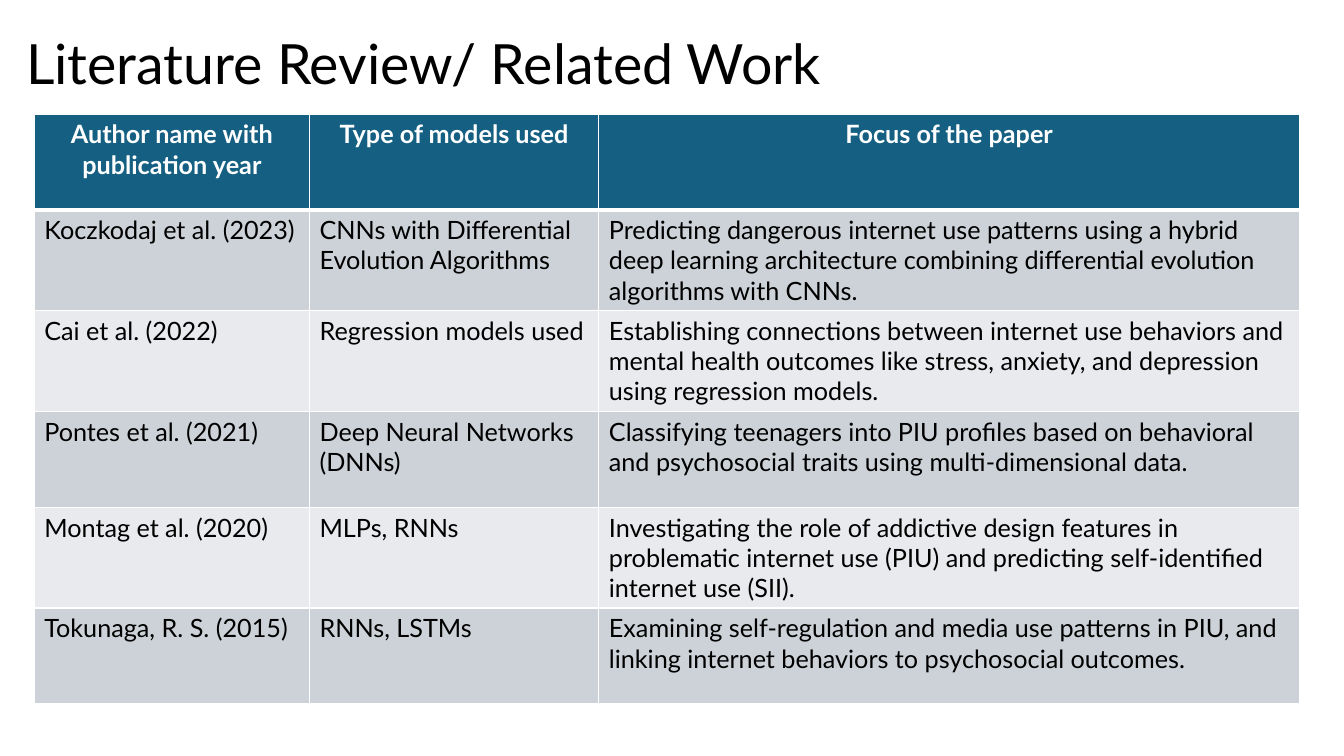
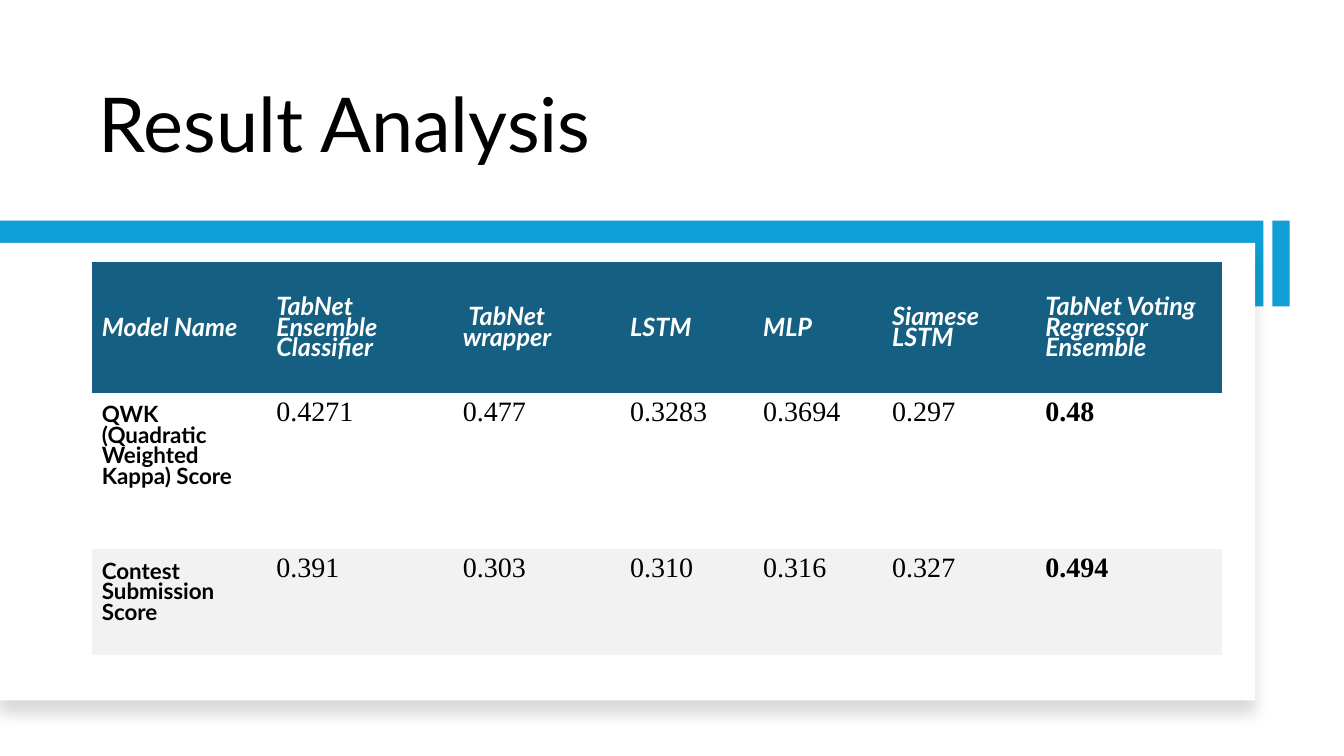
from lxml import etree
from pptx import Presentation
from pptx.dml.color import RGBColor
from pptx.enum.shapes import MSO_SHAPE
from pptx.enum.text import MSO_ANCHOR, PP_ALIGN
from pptx.oxml import parse_xml
from pptx.util import Inches, Pt

RECTANGLE = MSO_SHAPE.RECTANGLE
TOP, MIDDLE, BOTTOM = MSO_ANCHOR.TOP, MSO_ANCHOR.MIDDLE, MSO_ANCHOR.BOTTOM
LEFT, CENTER = PP_ALIGN.LEFT, PP_ALIGN.CENTER
NAMESPACE = "http://schemas.openxmlformats.org/drawingml/2006/main"
PLAIN_TABLE_STYLE = "{2D5ABB26-0587-4C30-8999-92F81FD0307C}"

COLORS = {
    "black": "000000",
    "white": "FFFFFF",
    "header": "156082",
    "accent": "0F9ED5",
    "dark_row": "CCD2D8",
    "light_row": "E8EAED",
    "pale_row": "F2F2F2",
}
BODY_FONT, NUMBER_FONT = "Lato", "Times New Roman"

presentation = Presentation()
presentation.slide_width, presentation.slide_height = Inches(13.33), Inches(7.5)
# The grid has 100 columns and 100 rows.
COLUMN = presentation.slide_width / 100
ROW = presentation.slide_height / 100
BLANK = presentation.slide_layouts[6]


def write_text(frame, text, size=18, font=BODY_FONT, color="black", bold=False,
               italic=False, align=LEFT, spacing=None, indent=0):
    frame.word_wrap = True
    paragraph = frame.paragraphs[0]
    paragraph.alignment = align
    paragraph.line_spacing = spacing
    if indent:
        paragraph._p.get_or_add_pPr().set("indent", str(Pt(indent)))
    run = paragraph.add_run()
    run.text = text
    run.font.size, run.font.name = Pt(size), font
    run.font.bold, run.font.italic = bold, italic
    run.font.color.rgb = RGBColor.from_string(COLORS[color])


def add_plain_table(slide, left, top, widths, heights):
    """Add an unstyled table whose lengths are grid columns and rows."""
    table = slide.shapes.add_table(
        len(heights), len(widths), round(left * COLUMN), round(top * ROW),
        round(sum(widths) * COLUMN), round(sum(heights) * ROW)).table
    table._tbl.tblPr.find(f"{{{NAMESPACE}}}tableStyleId").text = PLAIN_TABLE_STYLE
    for column, width in zip(table.columns, widths):
        column.width = round(width * COLUMN)
    for row, height in zip(table.rows, heights):
        row.height = round(height * ROW)
    return table


# Slides and titles
titles = [
    ("Literature Review/ Related Work", 39.6, MIDDLE, (1.2, 4.27, 91.9, 9.07)),
    ("Result Analysis", 54, BOTTOM, (6.6, 5.6, 75.77, 17.33)),
]
slides = []
for title, size, anchor, (left, top, width, height) in titles:
    slide = presentation.slides.add_slide(BLANK)
    slides.append(slide)
    box = slide.shapes.add_textbox(round(left * COLUMN), round(top * ROW),
                                   round(width * COLUMN), round(height * ROW))
    box.text_frame.vertical_anchor = anchor
    write_text(box.text_frame, title, size=size, spacing=0.9)
review_slide, result_slide = slides

# Literature review
papers = [
    ("Author name with publication year", "Type of models used", "Focus of the paper"),
    ("Koczkodaj et al. (2023)", "CNNs with Differential Evolution Algorithms",
     "Predicting dangerous internet use patterns using a hybrid deep learning "
     "architecture combining differential evolution algorithms with CNNs."),
    ("Cai et al. (2022)", "Regression models used",
     "Establishing connections between internet use behaviors and mental health "
     "outcomes like stress, anxiety, and depression using regression models."),
    ("Pontes et al. (2021)", "Deep Neural Networks (DNNs)",
     "Classifying teenagers into PIU profiles based on behavioral and psychosocial "
     "traits using multi-dimensional data."),
    ("Montag et al. (2020)", "MLPs, RNNs",
     "Investigating the role of addictive design features in problematic internet "
     "use (PIU) and predicting self-identified internet use (SII)."),
    ("Tokunaga, R. S. (2015)", "RNNs, LSTMs",
     "Examining self-regulation and media use patterns in PIU, and linking internet "
     "behaviors to psychosocial outcomes."),
]
table = add_plain_table(review_slide, 2.55, 15.07, [20.48, 21.53, 52.14],
                        [12.67] * len(papers))
for row, paper in enumerate(papers):
    header = row == 0
    fill = "header" if header else ("light_row", "dark_row")[row % 2]
    for column, text in enumerate(paper):
        cell = table.cell(row, column)
        cell.fill.solid()
        cell.fill.fore_color.rgb = RGBColor.from_string(COLORS[fill])
        write_text(cell.text_frame, text, bold=header,
                   color="white" if header else "black",
                   align=CENTER if header else LEFT)
        for position, side in enumerate("LRTB"):
            heavy = (side == "B" and row == 0) or (side == "T" and row == 1)
            border = parse_xml(
                f'<a:ln{side} xmlns:a="{NAMESPACE}" w="{Pt(3 if heavy else 1)}">'
                f'<a:solidFill><a:srgbClr val="{COLORS["white"]}"/></a:solidFill>'
                f'</a:ln{side}>')
            cell._tc.get_or_add_tcPr().insert(position, border)

# Result analysis: accent bands behind a white card
panels = [
    ("accent", 94.67, 29.2, 1.28, 11.33),
    ("accent", 0, 29.2, 94, 11.33),
    ("white", 0, 32.13, 93.4, 60.53),
]
for color, left, top, width, height in panels:
    panel = result_slide.shapes.add_shape(
        RECTANGLE, round(left * COLUMN), round(top * ROW),
        round(width * COLUMN), round(height * ROW))
    panel.shadow.inherit = False
    panel.fill.solid()
    panel.fill.fore_color.rgb = RGBColor.from_string(COLORS[color])
    panel.line.fill.background()
card = panel
effects = card._element.spPr.find(f"{{{NAMESPACE}}}effectLst")
shadow = etree.SubElement(effects, f"{{{NAMESPACE}}}outerShdw", blurRad=str(Pt(11)),
                          dist=str(Pt(10)), dir="5400000", rotWithShape="0")
shadow_color = etree.SubElement(shadow, f"{{{NAMESPACE}}}srgbClr", val=COLORS["black"])
etree.SubElement(shadow_color, f"{{{NAMESPACE}}}alpha", val="15000")

scores = [
    ("Model Name", "TabNet Ensemble Classifier", "TabNet wrapper", "LSTM", "MLP",
     "Siamese LSTM", "TabNet Voting Regressor Ensemble"),
    ("QWK (Quadratic Weighted Kappa) Score", "0.4271", "0.477", "0.3283", "0.3694",
     "0.297", "0.48"),
    ("Contest Submission Score", "0.391", "0.303", "0.310", "0.316", "0.327", "0.494"),
]
row_fills = ["header", None, "pale_row"]
header_format = {"color": "white", "bold": True, "italic": True}
label_format = {"size": 16, "bold": True}
number_format = {"size": 20, "font": NUMBER_FONT}
table = add_plain_table(result_slide, 6.83, 34.67,
                        [12.98, 13.88, 12.45, 9.9, 9.6, 11.4, 13.88],
                        [17.33, 20.67, 14])
best_column = len(scores[0]) - 1
for row, (texts, fill) in enumerate(zip(scores, row_fills)):
    for column, text in enumerate(texts):
        cell = table.cell(row, column)
        cell.margin_top, cell.margin_bottom = Inches(0.14), Inches(0.07)
        cell.vertical_anchor = MIDDLE if row == 0 else TOP
        if fill:
            cell.fill.solid()
            cell.fill.fore_color.rgb = RGBColor.from_string(COLORS[fill])
        if row == 0:
            text_format = {**header_format, "indent": 4 if column == 2 else 0}
        elif column == 0:
            text_format = label_format
        else:
            text_format = {**number_format, "bold": column == best_column}
        write_text(cell.text_frame, text, spacing=Pt(14.6), **text_format)

presentation.save("out.pptx")
